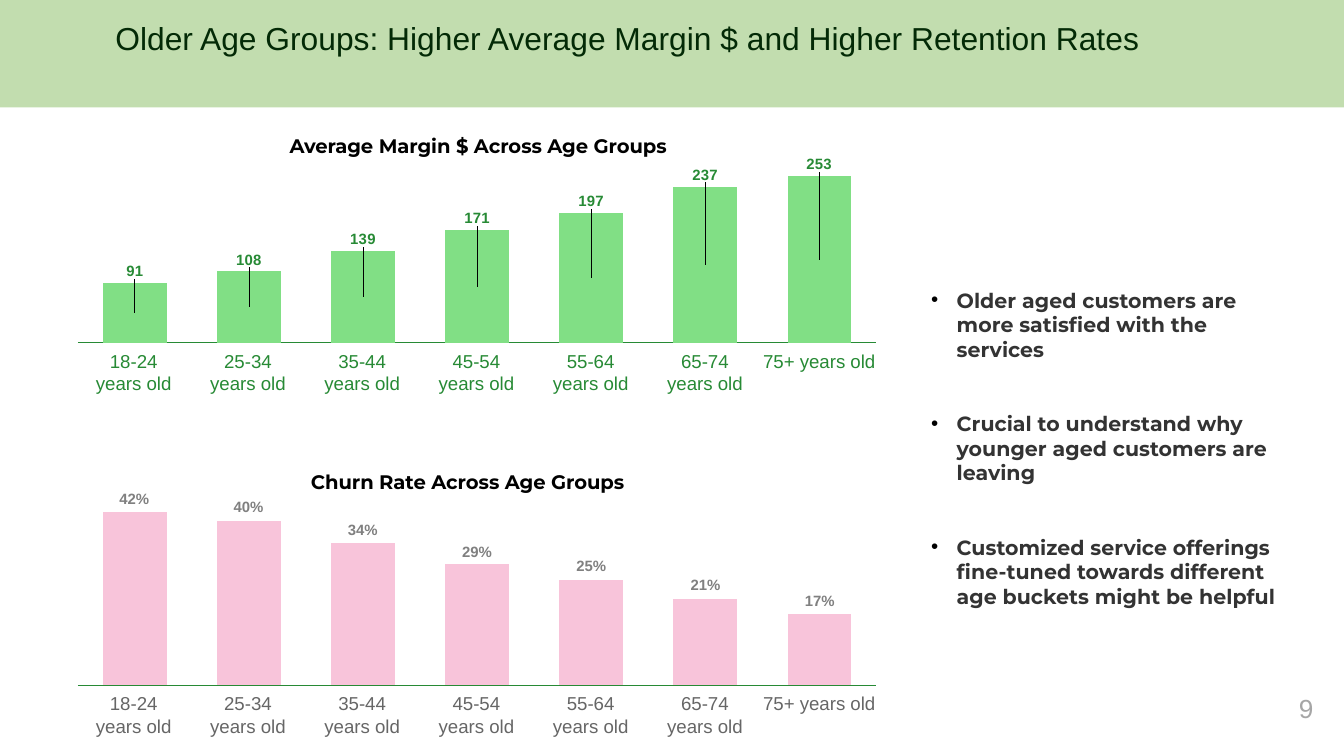
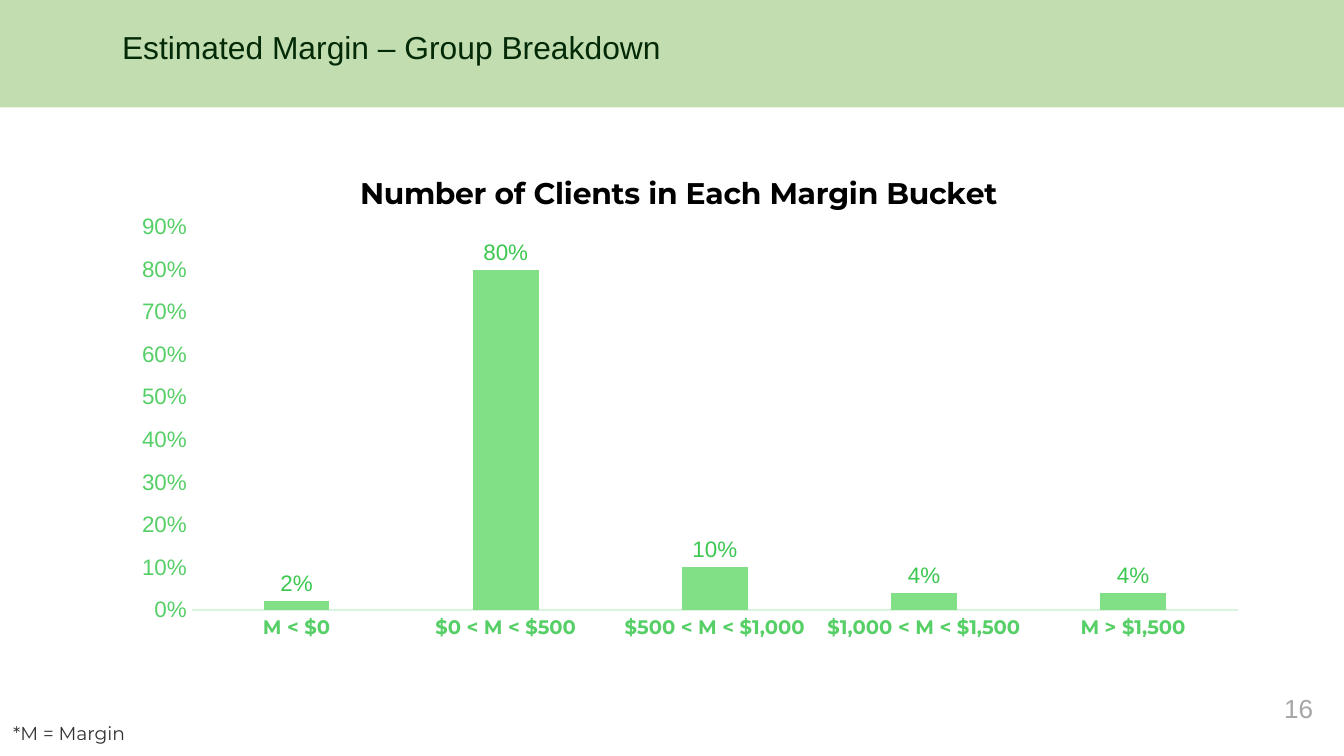
from lxml.etree import SubElement
from pptx import Presentation
from pptx.chart.data import CategoryChartData
from pptx.dml.color import RGBColor
from pptx.enum.chart import XL_CHART_TYPE as ChartType
from pptx.enum.chart import XL_LABEL_POSITION as LabelPosition
from pptx.enum.chart import XL_TICK_LABEL_POSITION as TickLabel
from pptx.enum.chart import XL_TICK_MARK as TickMark
from pptx.enum.shapes import MSO_SHAPE as Shape
from pptx.enum.text import MSO_ANCHOR as Anchor
from pptx.enum.text import PP_ALIGN as Align
from pptx.oxml import parse_xml
from pptx.oxml.ns import nsdecls, qn
from pptx.util import Pt

PX = 9144  # 100 px to the inch
COLORS = {
    "band": "C2DDAF", "title": "032A06", "page": "A6A6A6", "black": "000000",
    "body": "333333", "green": "278A35", "bar": "81DF85", "pink": "F8C4DA",
    "gray": "666666", "label_gray": "808080", "axis_text": "56CF67",
    "axis_line": "D8F4DC", "bucket_label": "3CC850",
}
SANS, DISPLAY = "Arial", "Montserrat"

AGE_GROUPS = ["18-24", "25-34", "35-44", "45-54", "55-64", "65-74", "75+"]
AGE_STEP = 85
MARGINS = [91, 108, 139, 171, 197, 237, 253]
CHURN_RATES = ["42%", "40%", "34%", "29%", "25%", "21%", "17%"]
CHURN_HEIGHTS = [100, 95, 82, 70, 61, 50, 41]
TAKEAWAYS = [
    "Older aged customers are more satisfied with the services",
    "Crucial to understand why younger aged customers are leaving",
    "Customized service offerings fine-tuned towards different age buckets "
    "might be helpful",
]
BUCKETS = {
    "M < $0": 0.02, "$0 < M < $500": 0.8, "$500 < M < $1,000": 0.1,
    "$1,000 < M < $1,500": 0.04, "M > $1,500": 0.04,
}


def rgb(name):
    return RGBColor.from_string(COLORS[name])


def px(*lengths):
    return [length * PX for length in lengths]


def set_font(font, size, color, name=SANS, bold=False):
    font.size, font.name, font.bold = Pt(size), name, bold
    font.color.rgb = rgb(color)


def add_text(page, place, lines, size, color, name=SANS, bold=False,
             align=Align.LEFT, insets=(10, 5, 10, 5), wrap=True,
             anchor=Anchor.TOP, bullet=False, gap=0, spacing=None):
    box = page.shapes.add_textbox(*px(*place)).text_frame
    box.word_wrap = wrap
    box.vertical_anchor = anchor
    (box.margin_left, box.margin_top,
     box.margin_right, box.margin_bottom) = px(*insets)
    for index, line in enumerate(lines):
        para = box.paragraphs[0] if index == 0 else box.add_paragraph()
        para.text = line
        para.alignment = align
        if spacing:
            para.line_spacing = spacing
        if index and gap:
            para.space_before = Pt(gap)
        if bullet:
            add_bullet(para)
        set_font(para.font, size, color, name, bold)


def add_bullet(para):
    props = para._p.get_or_add_pPr()
    props.set("marL", str(19 * PX))
    props.set("indent", str(-19 * PX))
    color = SubElement(props, qn("a:buClr"))
    SubElement(color, qn("a:srgbClr")).set("val", COLORS["black"])
    SubElement(props, qn("a:buFont")).set("typeface", SANS)
    SubElement(props, qn("a:buChar")).set("char", "•")


def set_layout(parent, index, **values):
    """Give a chart part a manual layout as child number index."""
    for old in parent.findall(qn("c:layout")):
        parent.remove(old)
    layout = parse_xml(f"<c:layout {nsdecls('c')}/>")
    manual = SubElement(layout, qn("c:manualLayout"))
    for tag, value in values.items():
        SubElement(manual, qn(f"c:{tag}")).set("val", str(value))
    parent.insert(index, layout)


def add_columns(page, place, kind, data, plot, color, line, gap, overlap, top):
    """Add a one-series column chart; plot is its inner area within place."""
    chart_data = CategoryChartData()
    chart_data.categories = list(data)
    chart_data.add_series("Series 1", list(data.values()))
    chart = page.shapes.add_chart(kind, *px(*place), chart_data).chart
    chart.has_legend = chart.has_title = False
    set_font(chart.font, 10, "green")
    left, upper, width, height = plot
    full_width, full_height = place[2:]
    set_layout(chart._chartSpace.chart.plotArea, 0, layoutTarget="inner",
               xMode="edge", yMode="edge",
               x=left / full_width, y=upper / full_height,
               w=width / full_width, h=height / full_height)
    columns = chart.plots[0]
    columns.gap_width, columns.overlap = gap, overlap
    columns.vary_by_categories = False
    fill = columns.series[0].format.fill
    fill.solid()
    fill.fore_color.rgb = rgb(color)
    for axis in (chart.category_axis, chart.value_axis):
        axis.major_tick_mark = axis.minor_tick_mark = TickMark.NONE
        axis.has_major_gridlines = False
    chart.category_axis.format.line.color.rgb = rgb(line)
    chart.category_axis.format.line.width = Pt(0.75)
    chart.value_axis.minimum_scale = 0
    chart.value_axis.maximum_scale = top
    return chart


def add_age_chart(page, place, values, plot, color, top):
    data = {str(number): value for number, value in enumerate(values, 1)}
    chart = add_columns(page, place, ChartType.COLUMN_STACKED, data, plot,
                        color, "green", 80, 100, top)
    chart.category_axis.tick_label_position = TickLabel.NONE
    chart.value_axis.visible = False
    return chart


def lift_labels(chart, values, plot_height, chart_height):
    """Move each value label from the middle of its column to above it."""
    for point, value in zip(chart.plots[0].series[0].points, values):
        label = point.data_label
        set_font(label.font, 8, "green", bold=True)
        rise = value / max(values) * plot_height / 2 + 9
        set_layout(label._get_or_add_dLbl(), 1, x=0, y=-rise / chart_height)


def add_age_labels(page, top, color):
    last = len(AGE_GROUPS) - 1
    for index, group in enumerate(AGE_GROUPS):
        left = 71 + AGE_STEP * index
        wrap = index < last
        place = (left, top, 57, 33) if wrap else (left - 14, top, 85, 17)
        add_text(page, place, [f"{group} years old"], 10, color,
                 align=Align.CENTER, insets=(0, 0, 0, 0), wrap=wrap)


def add_churn_labels(page):
    for index, (rate, height) in enumerate(zip(CHURN_RATES, CHURN_HEIGHTS)):
        place = (85 + AGE_STEP * index, round(495 - 1.29 * height), 30, 12)
        add_text(page, place, [rate], 8, "label_gray", bold=True,
                 align=Align.CENTER, insets=(2, 0, 2, 0), wrap=False,
                 anchor=Anchor.BOTTOM, spacing=0.9)


def add_chart_heading(page, left, top, heading):
    add_text(page, (left, top, 592, 29), [heading], 10.5, "black", DISPLAY,
             True, Align.CENTER)


def add_page(deck, title, title_place, number):
    page = deck.slides.add_slide(deck.slide_layouts[6])
    band = page.shapes.add_shape(Shape.RECTANGLE, *px(0, 0, 1000, 80))
    band.shadow.inherit = False
    band.fill.solid()
    band.fill.fore_color.rgb = rgb("band")
    band.line.fill.background()
    add_text(page, title_place, [title], 17, "title", insets=(10,) * 4)
    add_text(page, (927, 510, 60, 43), [str(number)], 14, "page",
             align=Align.RIGHT)
    return page


def add_age_page(deck):
    page = add_page(
        deck, "Older Age Groups: Higher Average Margin $ and Higher "
        "Retention Rates", (76, 4, 851, 70), 9)
    add_age_chart(page, (49, 372, 612, 147), CHURN_HEIGHTS,
                  (9, 9, 594, 129), "pink", 100)
    add_age_labels(page, 515, "gray")
    add_churn_labels(page)
    place, plot = (49, 102, 612, 174), (9, 29, 594, 124)
    chart = add_age_chart(page, place, MARGINS, plot, "bar", max(MARGINS))
    lift_labels(chart, MARGINS, plot[3], place[3])
    add_age_labels(page, 260, "green")
    add_chart_heading(page, 60, 95, "Average Margin $ Across Age Groups")
    add_chart_heading(page, 52, 345, "Churn Rate Across Age Groups")
    add_text(page, (683, 204, 283, 241), TAKEAWAYS, 11, "body", DISPLAY, True,
             insets=(10,) * 4, bullet=True, gap=26.5)


def add_bucket_page(deck):
    page = add_page(deck, "Estimated Margin – Group Breakdown",
                    (81, 11, 851, 51), 16)
    chart = add_columns(page, (73, 113, 868, 381), ChartType.COLUMN_CLUSTERED,
                        BUCKETS, (70, 56, 778, 285), "bar", "axis_line",
                        219, -27, 0.9)
    chart.has_title = True
    heading = chart.chart_title.text_frame.paragraphs[0]
    span = heading.add_run()
    span.text = "Number of Clients in Each Margin Bucket"
    set_font(span.font, 16, "black", DISPLAY, True)
    set_layout(chart.chart_title._element, 1, xMode="edge", yMode="edge",
               x=0.22, y=0.03)
    set_font(chart.category_axis.tick_labels.font, 10.5, "axis_text",
             DISPLAY, True)
    axis = chart.value_axis
    axis.major_unit = 0.1
    axis.format.line.fill.background()
    set_font(axis.tick_labels.font, 12, "axis_text")
    labels = chart.plots[0].series[0].data_labels
    labels.show_value = True
    labels.position = LabelPosition.OUTSIDE_END
    set_font(labels.font, 12, "bucket_label")
    for numbers in (axis.tick_labels, labels):
        numbers.number_format = "0%"
        numbers.number_format_is_linked = False
    add_text(page, (0, 529, 158, 33), ["*M = Margin"], 10, "body", DISPLAY,
             insets=(10,) * 4)


def main():
    deck = Presentation()
    deck.slide_width = 1000 * PX
    deck.slide_height = deck.slide_width * 9 // 16
    add_age_page(deck)
    add_bucket_page(deck)
    deck.save("out.pptx")


if __name__ == "__main__":
    main()
